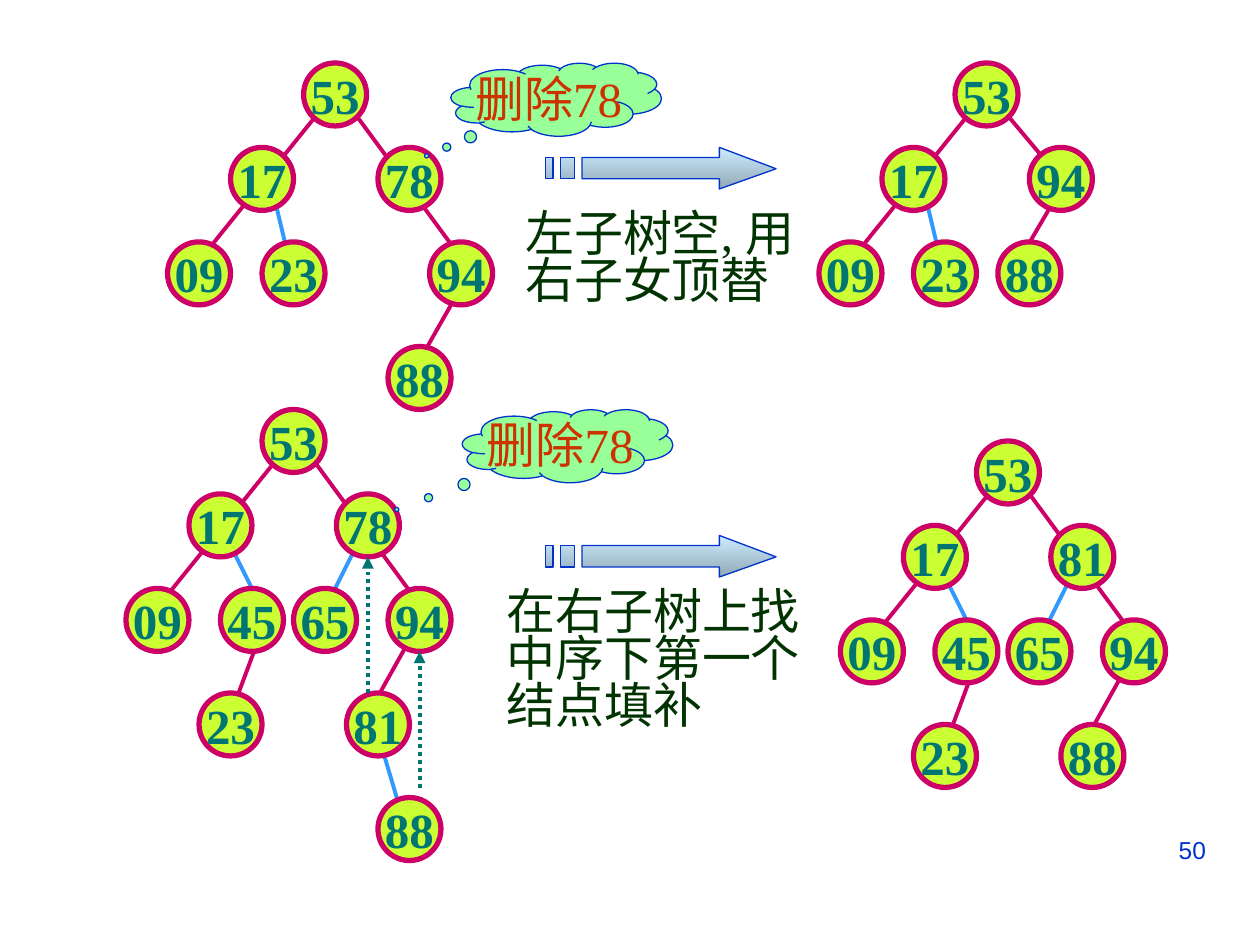
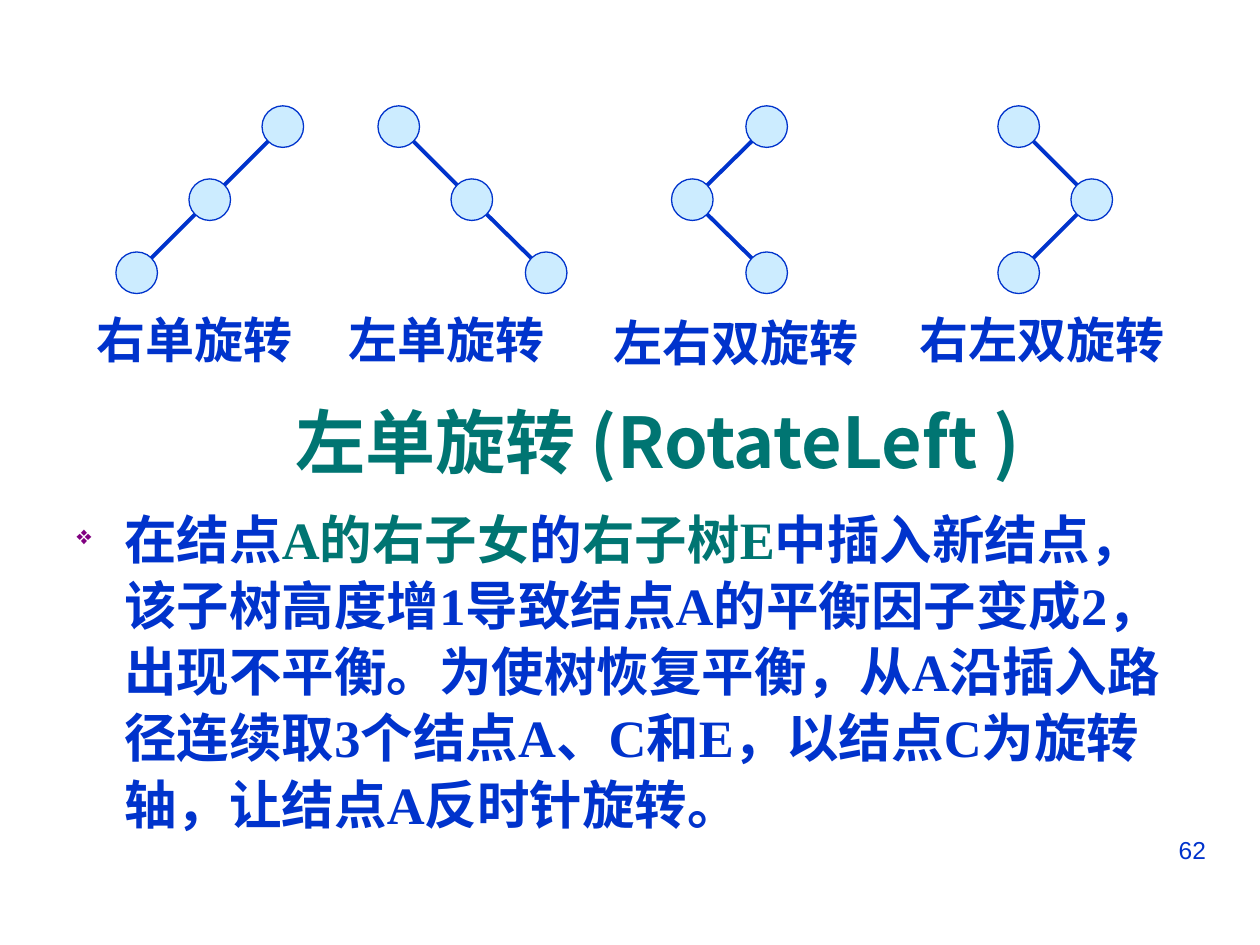
"""Build two slides on deleting from search trees and rotating them."""
from dataclasses import dataclass
from itertools import pairwise
from typing import NamedTuple

from lxml.etree import SubElement
from pptx import Presentation
from pptx.dml.color import RGBColor
from pptx.enum.dml import MSO_LINE
from pptx.enum.shapes import MSO_CONNECTOR, MSO_SHAPE
from pptx.enum.text import MSO_ANCHOR, PP_ALIGN
from pptx.oxml.ns import qn
from pptx.util import Inches, Pt

COLORS = {
    "blue": "0033CC", "teal": "007572", "forest": "003300", "red": "CC3300",
    "magenta": "CC0066", "sky": "3399FF", "lime": "CCFF33", "mint": "99FF99",
    "ice": "CCECFF", "steel": "92A9B6", "purple": "800080",
}
LATIN_FONT = "Times New Roman"
CHINESE_FONT = "Noto Sans CJK JP"
NODE_SIZE = 0.5
DOT_SIZE = 0.33
LABEL_SIZE = 28

SLOTS = {
    "root": (1.08, 0), "left": (0.5, 0.67), "right": (1.67, 0.67),
    "left left": (0, 1.42), "left right": (0.75, 1.42),
    "right left": (1.33, 1.42), "right right": (2.08, 1.42),
    "only child": (1.42, 1.42), "left leaf": (0.58, 2.25),
    "right leaf": (1.75, 2.25), "deep leaf": (2, 3.08),
}


class Branch(NamedTuple):
    start: tuple[float, float]
    end: tuple[float, float]
    color: str = "magenta"


LEFT_SPINE = Branch((1.25, 0.33), (0.17, 1.67))
RIGHT_SPINE = Branch((1.5, 0.42), (2.42, 1.67))
SHORT_SPINE = Branch((1.5, 0.42), (1.92, 0.92))
STEEP_INNER = Branch((0.84, 1.04), (1, 1.71), "sky")
LEFT_INNER = Branch((0.83, 1.08), (1.08, 1.58), "sky")
RIGHT_INNER = Branch((1.83, 1.08), (1.58, 1.58), "sky")
LEFT_TWIG = Branch((1.08, 1.75), (0.83, 2.42))
RIGHT_TWIG = Branch((2.25, 1.83), (1.92, 2.42))
LOW_TWIG = Branch((2.25, 1.92), (1.92, 2.5))
ONLY_TWIG = Branch((1.92, 1), (1.58, 1.58))
DEEP_TWIG = Branch((2, 2.58), (2.25, 3.42), "sky")
FULL_BRANCHES = (LEFT_SPINE, RIGHT_SPINE, LEFT_INNER, RIGHT_INNER, LEFT_TWIG, RIGHT_TWIG)
SMALL_LEFT = {"root": "53", "left": "17", "left left": "09", "left right": "23"}
FULL_LEFT = SMALL_LEFT | {"left right": "45", "left leaf": "23"}


@dataclass(frozen=True)
class Tree:
    left: float
    top: float
    keys: dict[str, str]
    branches: tuple[Branch, ...]


@dataclass(frozen=True)
class Deletion:
    cloud: tuple[float, float]
    tail: tuple[float, float]
    arrow_top: float
    note: str
    note_box: tuple[float, float, float, float]


@dataclass(frozen=True)
class Rotation:
    name: str
    dot_lefts: tuple[float, float, float]
    name_left: float
    name_top: float = 2.41


TREES = (
    Tree(1.33, 0.5, SMALL_LEFT | {"right": "78", "right right": "94", "right leaf": "88"},
         (LEFT_SPINE, RIGHT_SPINE, STEEP_INNER, LOW_TWIG)),
    Tree(6.5, 0.5, SMALL_LEFT | {"right": "94", "only child": "88"},
         (LEFT_SPINE, SHORT_SPINE, STEEP_INNER, ONLY_TWIG)),
    Tree(1, 3.25, FULL_LEFT | {"right": "78", "right left": "65", "right right": "94",
                               "right leaf": "81", "deep leaf": "88"},
         FULL_BRANCHES + (DEEP_TWIG,)),
    Tree(6.67, 3.5, FULL_LEFT | {"right": "81", "right left": "65", "right right": "94",
                                 "right leaf": "88"}, FULL_BRANCHES),
)
DELETIONS = (
    Deletion((3.58, 0.5), (-0.616, 0.771), 1.17, "左子树空, 用右子女顶替", (4.07, 1.65, 2.43, 0.85)),
    Deletion((3.67, 3.25), (-0.812, 0.869), 4.25, "在右子树上找中序下第一个结点填补",
             (3.92, 4.65, 2.58, 1.22)),
)
MOVES = (((2.92, 5.5), (2.92, 4.42)), ((3.33, 6.25), (3.33, 5.17)))
ROTATIONS = (
    Rotation("右单旋转", (2.08, 1.5, 0.92), 0.67),
    Rotation("左单旋转", (3, 3.58, 4.17), 2.67),
    Rotation("左右双旋转", (5.92, 5.33, 5.92), 4.77, 2.43),
    Rotation("右左双旋转", (7.92, 8.5, 7.92), 7.2),
)
DOT_TOPS = (0.84, 1.42, 2)
EXPLANATION = (
    ("在结点", "blue"), ("A的右子女", "teal"), ("的", "blue"), ("右子树E", "teal"),
    ("中插入新结点，该子树高度增1导致结点A的平衡因子变成2，出现不平衡。为使树恢复平衡，"
     "从A沿插入路径连续取3个结点A、C和E，以结点C为旋转轴，让结点A反时针旋转。", "blue"),
)


def rgb(name: str) -> RGBColor:
    return RGBColor.from_string(COLORS[name])


def write_text(shape, text, *, color="blue", size=LABEL_SIZE, font=LATIN_FONT, bold=False,
               align=PP_ALIGN.LEFT, spacing=None, wrap=True, anchor=MSO_ANCHOR.TOP):
    """Fill a shape with one paragraph, from a string or (text, colour) pairs."""
    frame = shape.text_frame
    frame.word_wrap = wrap
    frame.vertical_anchor = anchor
    paragraph = frame.paragraphs[0]
    paragraph.alignment = align
    if spacing:
        paragraph.line_spacing = spacing
    for words, run_color in [(text, color)] if isinstance(text, str) else text:
        run = paragraph.add_run()
        run.text = words
        run.font.name = font
        run.font.size = Pt(size)
        run.font.bold = bold
        run.font.color.rgb = rgb(run_color)
        SubElement(run.font._element, qn("a:ea"), typeface=CHINESE_FONT)
    return paragraph


def add_text(slide, box: tuple[float, ...], text, **text_format):
    textbox = slide.shapes.add_textbox(*map(Inches, box))
    return write_text(textbox, text, **text_format)


def outline(shape, color: str, width: float) -> None:
    shape.shadow.inherit = False
    shape.line.color.rgb = rgb(color)
    shape.line.width = Pt(width)


def add_filled(slide, kind: MSO_SHAPE, box: tuple[float, ...], fill: str, line: str, width: float):
    shape = slide.shapes.add_shape(kind, *map(Inches, box))
    shape.fill.solid()
    shape.fill.fore_color.rgb = rgb(fill)
    outline(shape, line, width)
    return shape


def add_line(slide, start: tuple[float, float], end: tuple[float, float], color: str):
    connector = slide.shapes.add_connector(MSO_CONNECTOR.STRAIGHT, *map(Inches, (*start, *end)))
    connector.line.color.rgb = rgb(color)
    connector.line.width = Pt(2.25)
    SubElement(connector.element.spPr, qn("a:effectLst"))
    return connector


def add_move(slide, start: tuple[float, float], end: tuple[float, float]) -> None:
    connector = add_line(slide, start, end, "teal")
    connector.line.dash_style = MSO_LINE.ROUND_DOT
    SubElement(connector.element.spPr.find(qn("a:ln")), qn("a:tailEnd"), type="triangle")


def add_tree(slide, tree: Tree) -> None:
    for branch in tree.branches:
        start, end = ((tree.left + x, tree.top + y) for x, y in (branch.start, branch.end))
        add_line(slide, start, end, branch.color)
    for slot, key in tree.keys.items():
        x, y = SLOTS[slot]
        node = add_filled(slide, MSO_SHAPE.OVAL,
                          (tree.left + x, tree.top + y, NODE_SIZE, NODE_SIZE),
                          "lime", "magenta", 3)
        write_text(node, key, color="teal", bold=True, align=PP_ALIGN.CENTER,
                   wrap=False, anchor=MSO_ANCHOR.MIDDLE)


def add_striped_arrow(slide, left: float, top: float) -> None:
    def bar(start: float, end: float) -> list[tuple[float, float]]:
        return [(start, 0.08), (start, 0.25), (end, 0.25), (end, 0.08)]

    head = [(1.38, 0), (1.38, 0.08), (0.29, 0.08), (0.29, 0.25),
            (1.38, 0.25), (1.38, 0.33), (1.83, 0.17)]
    contours = [[(Inches(left + x), Inches(top + y)) for x, y in contour]
                for contour in (head, bar(0.12, 0.23), bar(0, 0.06))]
    builder = slide.shapes.build_freeform(*contours[0][0])
    builder.add_line_segments(contours[0][1:])
    for contour in contours[1:]:
        builder.move_to(*contour[0])
        builder.add_line_segments(contour[1:])
    arrow = builder.convert_to_shape()
    arrow.fill.gradient()
    arrow.fill.gradient_angle = 270
    for stop, color in zip(arrow.fill.gradient_stops, ("ice", "steel")):
        stop.color.rgb = rgb(color)
    outline(arrow, "blue", 0.75)


def add_deletion(slide, deletion: Deletion) -> None:
    cloud = add_filled(slide, MSO_SHAPE.CLOUD_CALLOUT, (*deletion.cloud, 1.67, 0.58),
                       "mint", "blue", 0.75)
    for index, offset in enumerate(deletion.tail):
        cloud.adjustments[index] = offset
    write_text(cloud, "删除78", color="red", align=PP_ALIGN.CENTER,
               wrap=False, anchor=MSO_ANCHOR.MIDDLE)
    add_striped_arrow(slide, 4.33, deletion.arrow_top)
    add_text(slide, deletion.note_box, deletion.note, color="forest", spacing=0.8)


def add_rotation(slide, rotation: Rotation) -> None:
    corners = list(zip(rotation.dot_lefts, DOT_TOPS))
    centers = [(x + DOT_SIZE / 2, y + DOT_SIZE / 2) for x, y in corners]
    for start, end in pairwise(centers):
        add_line(slide, start, end, "blue")
    for corner in corners:
        add_filled(slide, MSO_SHAPE.OVAL, (*corner, DOT_SIZE, DOT_SIZE), "ice", "blue", 0.75)
    width = len(rotation.name) * LABEL_SIZE / 72 + 0.2
    add_text(slide, (rotation.name_left, rotation.name_top, width, 0.57), rotation.name,
             bold=True, wrap=False)


def add_bullet(paragraph) -> None:
    properties = paragraph._p.get_or_add_pPr()
    properties.set("marL", str(Inches(0.38)))
    properties.set("indent", str(Inches(-0.38)))
    bullet_color = SubElement(properties, qn("a:buClr"))
    SubElement(bullet_color, qn("a:srgbClr"), val=COLORS["purple"])
    SubElement(properties, qn("a:buSzPct"), val="50000")
    SubElement(properties, qn("a:buChar"), char="❖")


def add_numbered_slide(presentation, number: int):
    slide = presentation.slides.add_slide(presentation.slide_layouts[6])
    add_text(slide, (7.17, 6.58, 2.5, 0.52), str(number), size=14, font="Arial",
             align=PP_ALIGN.RIGHT)
    return slide


def build_deletion_slide(presentation) -> None:
    slide = add_numbered_slide(presentation, 50)
    for tree in TREES:
        add_tree(slide, tree)
    for deletion in DELETIONS:
        add_deletion(slide, deletion)
    for start, end in MOVES:
        add_move(slide, start, end)


def build_rotation_slide(presentation) -> None:
    slide = add_numbered_slide(presentation, 62)
    for rotation in ROTATIONS:
        add_rotation(slide, rotation)
    add_text(slide, (2.09, 3.16, 6.26, 0.67), "左单旋转 (RotateLeft )", color="teal", size=40,
             font=CHINESE_FONT, bold=True, align=PP_ALIGN.CENTER, anchor=MSO_ANCHOR.MIDDLE)
    add_bullet(add_text(slide, (0.51, 3.95, 9, 2.91), EXPLANATION, size=30, bold=True,
                        spacing=1.05))


def main() -> None:
    presentation = Presentation()
    presentation.slide_width = Inches(10)
    presentation.slide_height = Inches(7.5)
    build_deletion_slide(presentation)
    build_rotation_slide(presentation)
    presentation.save("out.pptx")


if __name__ == "__main__":
    main()
